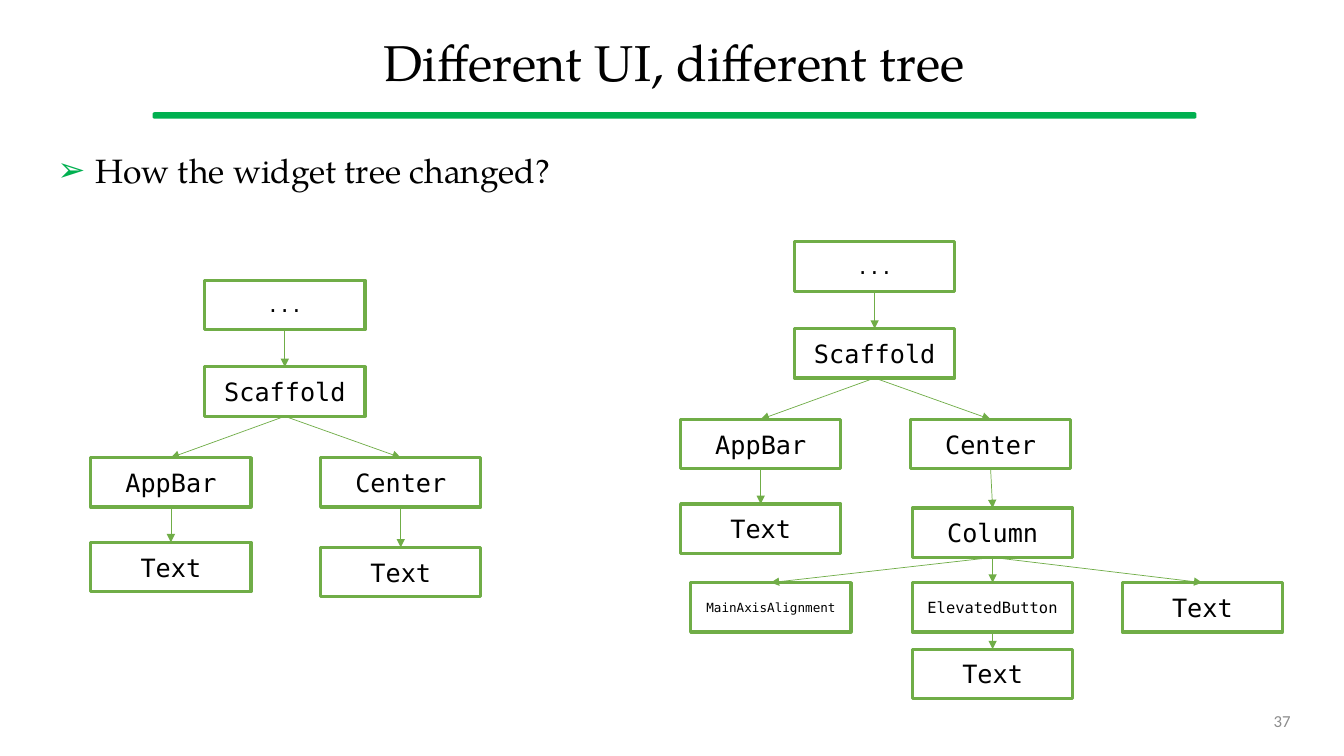
from lxml.etree import SubElement
from pptx import Presentation
from pptx.dml.color import RGBColor
from pptx.enum.shapes import MSO_CONNECTOR as Link, MSO_SHAPE as Kind
from pptx.enum.text import MSO_ANCHOR as Anchor, PP_ALIGN as Align
from pptx.oxml.ns import qn
from pptx.util import Pt

PX = 9144
GREEN = RGBColor(0x00, 0xB0, 0x50)
LEAF = RGBColor(0x70, 0xAD, 0x47)
BLACK = RGBColor(0x00, 0x00, 0x00)
WHITE = RGBColor(0xFF, 0xFF, 0xFF)
GRAY = RGBColor(0x8C, 0x8C, 0x8C)
SERIF = "TeX Gyre Pagella"
MONO = "DejaVu Sans Mono"
BOX_W, BOX_H = 159, 49


def place(shape, x, y, w, h):
    shape.left, shape.top = x * PX, y * PX
    shape.width, shape.height = w * PX, h * PX


def style(para, text, face, size, color, align):
    para.text = text
    para.alignment = align
    para.font.name = face
    para.font.size = Pt(size)
    para.font.color.rgb = color


deck = Presentation()
deck.slide_width, deck.slide_height = 1333 * PX, 750 * PX
slide = deck.slides.add_slide(deck.slide_layouts[1])
shapes = slide.shapes

rule = shapes.add_shape(Kind.ROUNDED_RECTANGLE, 152 * PX, 112 * PX, 1034 * PX, 5 * PX)
rule.adjustments[0] = 0.26
rule.shadow.inherit = False
rule.fill.solid()
rule.fill.fore_color.rgb = GREEN
rule.line.color.rgb = GREEN
rule.line.width = Pt(1)

title = shapes.title
place(title, 47, 18, 1243, 94)
title.text_frame.vertical_anchor = Anchor.MIDDLE
para = title.text_frame.paragraphs[0]
para.line_spacing = 0.9
style(para, "Different UI, different tree", SERIF, 36, BLACK, Align.CENTER)

body = slide.placeholders[1]
place(body, 47, 148, 1259, 52)
para = body.text_frame.paragraphs[0]
para.line_spacing = 0.9
para.space_before = Pt(0)
props = para._p.get_or_add_pPr()
props.set("marL", str(38 * PX))
props.set("indent", str(-38 * PX))
tint = SubElement(props, qn("a:buClr"))
SubElement(tint, qn("a:srgbClr"), val=str(GREEN))
SubElement(props, qn("a:buChar"), char="➢")
style(para, "How the widget tree changed?", SERIF, 24, BLACK, Align.LEFT)

# name, size, x, y, parent
base = [
    ("...", 14, 113, 0, None),
    ("Scaffold", 18, 113, 86, 0),
    ("AppBar", 18, 0, 176, 1),
    ("Center", 18, 228, 176, 1),
    ("Text", 18, 0, 260, 2),
]
before = base + [("Text", 18, 228, 265, 3)]
after = base + [
    ("Column", 18, 230, 264, 3),
    ("MainAxisAlignment", 9, 10, 338, 5),
    ("ElevatedButton", 11, 230, 338, 5),
    ("Text", 18, 438, 338, 5),
    ("Text", 18, 230, 404, 7),
]

for left, top, tree in [(90, 278, before), (675, 240, after)]:
    boxes = []
    for name, size, x, y, up in tree:
        box = shapes.add_shape(Kind.RECTANGLE, (left + x) * PX, (top + y) * PX,
                               BOX_W * PX, BOX_H * PX)
        box.shadow.inherit = False
        box.fill.solid()
        box.fill.fore_color.rgb = WHITE
        box.line.color.rgb = LEAF
        box.line.width = Pt(2.25)
        frame = box.text_frame
        frame.vertical_anchor = Anchor.MIDDLE
        style(frame.paragraphs[0], name, MONO, size, BLACK, Align.CENTER)
        boxes.append(box)
        if up is None:
            continue
        link = shapes.add_connector(Link.STRAIGHT, 0, 0, 0, 0)
        link.begin_connect(boxes[up], 2)
        link.end_connect(box, 0)
        link.line.color.rgb = LEAF
        link.line.width = Pt(0.5)
        SubElement(link.line._get_or_add_ln(), qn("a:tailEnd"), type="triangle")
        SubElement(link._element.spPr, qn("a:effectLst"))

page = shapes.add_textbox(942 * PX, 695 * PX, 348 * PX, 40 * PX).text_frame
page.word_wrap = True
page.vertical_anchor = Anchor.MIDDLE
style(page.paragraphs[0], "37", "Calibri", 12, GRAY, Align.RIGHT)

deck.save("out.pptx")
